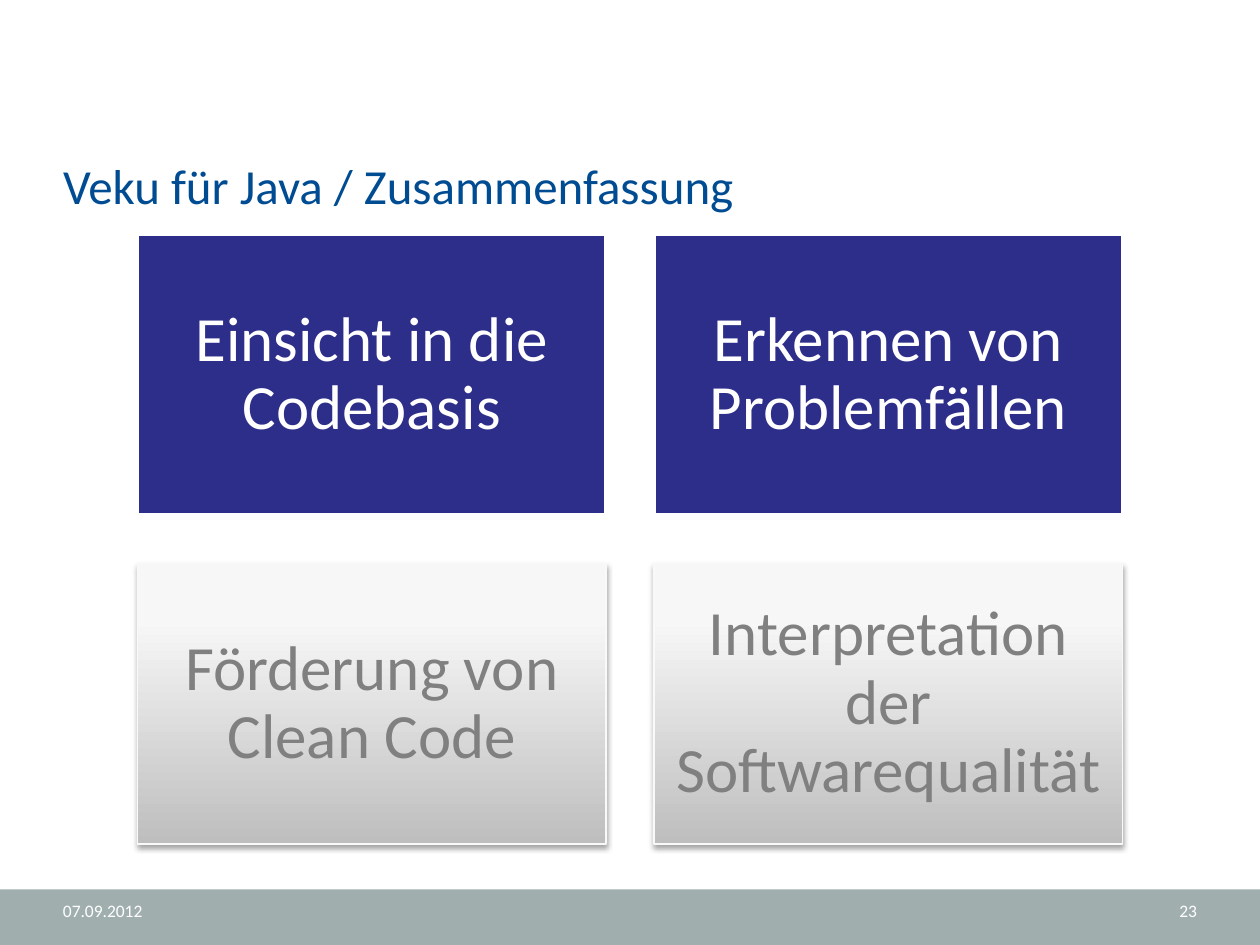
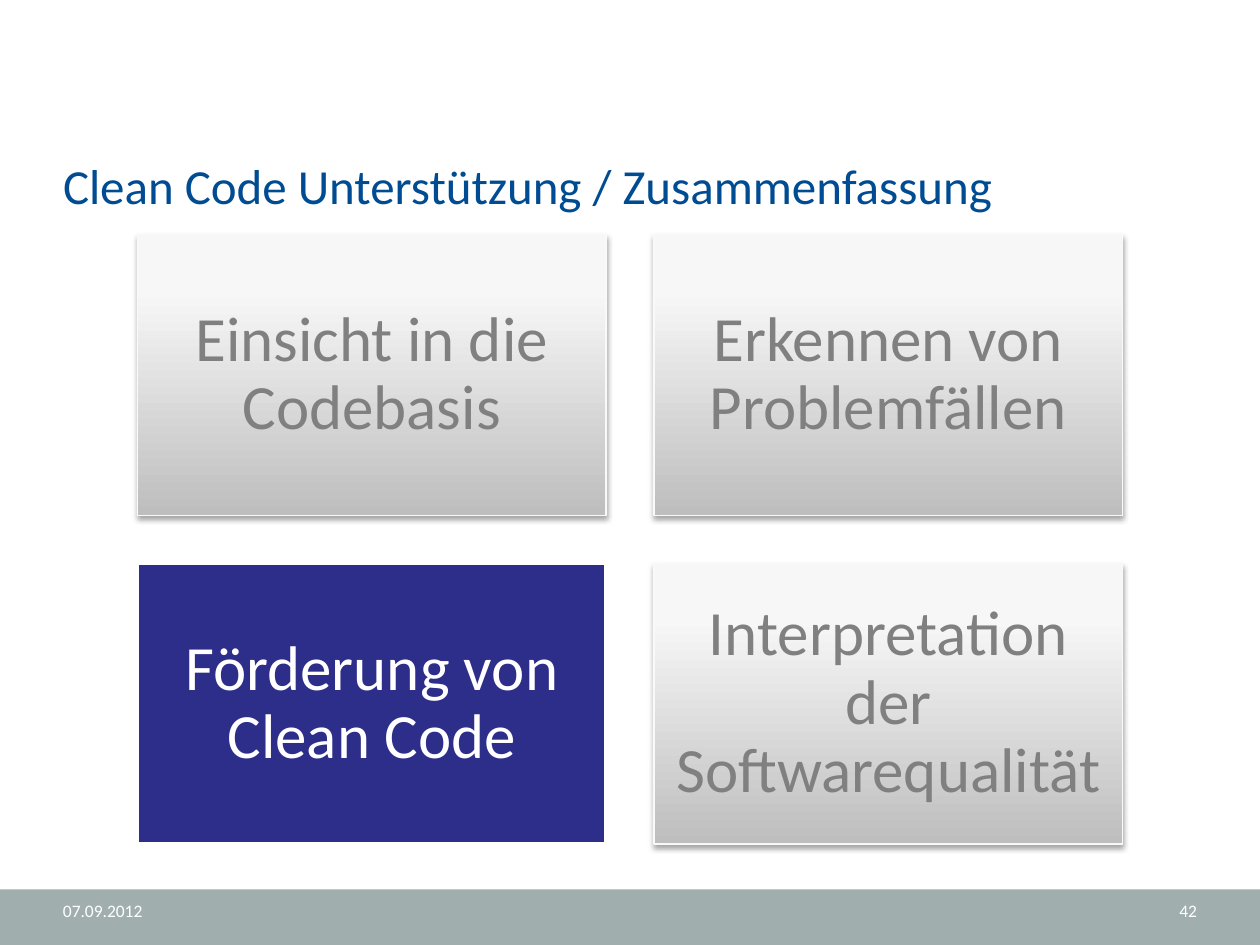
from pptx import Presentation
from pptx import util as u
from pptx.dml.color import RGBColor
from pptx.enum import shapes, text
from pptx.oxml import parse_xml
from pptx.oxml.ns import nsdecls

COLORS = {
    "title": "004C93", "band": "A0AFAE", "white": "FFFFFF",
    "active": "2D2D8A", "muted_text": "808080", "muted_line": "F9F9F9",
    "grad_dark": "BEBEBE", "grad_mid": "F7F7F7", "grad_light": "F8F8F8",
    "shadow": "000000",
}
FONT = "Calibri"
DATE = "07.09.2012"
GOALS = ["Einsicht in die Codebasis", "Erkennen von Problemfällen",
         "Förderung von Clean Code", "Interpretation der Softwarequalität"]

# Boxes: left, top, width, height in inches
TITLE_BOX = (0.5, 0.68, 9, 1.02)
FOOTER_BOX = (0, 7.06, 10, 0.44)
GRID_BOX = (1.09, 1.86, 7.82, 4.84)
GRID_GAP = 0.38

# Title, highlighted goals, page number
SLIDES = [
    ("Veku für Java / Zusammenfassung", {0, 1}, "23"),
    ("Clean Code Unterstützung / Zusammenfassung", {2}, "42"),
]


def rgb(name):
    return RGBColor.from_string(COLORS[name])


def inches(box):
    return [u.Inches(v) for v in box]


def set_text(sp, content, size, color, align=text.PP_ALIGN.LEFT,
             anchor=text.MSO_ANCHOR.TOP, inset=0):
    tf = sp.text_frame
    tf.text = content
    tf.word_wrap = True
    tf.auto_size = text.MSO_AUTO_SIZE.NONE
    tf.vertical_anchor = anchor
    tf.margin_left = tf.margin_right = u.Inches(inset)
    tf.margin_top = tf.margin_bottom = u.Inches(inset)
    p = tf.paragraphs[0]
    p.alignment = align
    p.font.name, p.font.size = FONT, u.Pt(size)
    p.font.color.rgb = rgb(color)
    return p


def add_rect(s, box, fill=None):
    sp = s.shapes.add_shape(shapes.MSO_SHAPE.RECTANGLE, *inches(box))
    sp.shadow.inherit = False
    sp.line.fill.background()
    if fill:
        sp.fill.solid()
        sp.fill.fore_color.rgb = rgb(fill)
    return sp


def set_line(sp, color, width):
    sp.line.color.rgb = rgb(color)
    sp.line.width = u.Pt(width)


def add_muted_look(sp):
    # Three-stop gradient, rising from dark to light
    stops = "".join(
        f'<a:gs pos="{pos * 1000}"><a:srgbClr val="{COLORS[name]}"/></a:gs>'
        for pos, name in ((0, "grad_dark"), (80, "grad_mid"), (100, "grad_light")))
    sp.fill.background()
    props = sp._element.spPr
    props.replace(props.find("{*}noFill"), parse_xml(
        f'<a:gradFill {nsdecls("a")} rotWithShape="1"><a:gsLst>{stops}</a:gsLst>'
        '<a:lin ang="16200000" scaled="0"/></a:gradFill>'))
    # Soft shadow below the tile
    props.find("{*}effectLst").append(parse_xml(
        f'<a:outerShdw {nsdecls("a")} blurRad="{u.Pt(3.1)}" dist="{u.Pt(1.8)}" '
        'dir="5400000" rotWithShape="0">'
        f'<a:srgbClr val="{COLORS["shadow"]}"><a:alpha val="35000"/></a:srgbClr>'
        '</a:outerShdw>'))


def add_title(s, box, title):
    sp = s.shapes.title
    sp.left, sp.top, sp.width, sp.height = inches(box)
    set_text(sp, title, 28, "title", anchor=text.MSO_ANCHOR.BOTTOM)


def add_footer(s, box, page):
    left, top, width, _ = box
    add_rect(s, box, "band")
    margin, field_w = 0.5, 2.33
    for x, content, align in (
            (left + margin, DATE, text.PP_ALIGN.LEFT),
            (left + width - margin - field_w, page, text.PP_ALIGN.RIGHT)):
        sp = s.shapes.add_textbox(*inches((x, top + 0.08, field_w, 0.24)))
        set_text(sp, content, 10, "white", align)


def add_tile(s, box, goal, active):
    sp = add_rect(s, box, "active" if active else None)
    if active:
        set_line(sp, "white", 2)
    else:
        add_muted_look(sp)
        set_line(sp, "muted_line", 0.75)
    p = set_text(sp, goal, 36, "white" if active else "muted_text",
                 text.PP_ALIGN.CENTER, text.MSO_ANCHOR.MIDDLE, 0.15)
    p.line_spacing = 0.9


def add_goal_grid(s, box, highlighted):
    left, top, width, height = box
    w, h = (width - GRID_GAP) / 2, (height - GRID_GAP) / 2
    for i, goal in enumerate(GOALS):
        row, col = divmod(i, 2)
        tile = (left + col * (w + GRID_GAP), top + row * (h + GRID_GAP), w, h)
        add_tile(s, tile, goal, i in highlighted)


def add_summary_slide(prs, title, highlighted, page):
    s = prs.slides.add_slide(prs.slide_layouts[5])  # title only
    add_title(s, TITLE_BOX, title)
    add_footer(s, FOOTER_BOX, page)
    add_goal_grid(s, GRID_BOX, highlighted)


def main():
    prs = Presentation()
    prs.slide_width, prs.slide_height = u.Inches(10), u.Inches(7.5)
    for title, highlighted, page in SLIDES:
        add_summary_slide(prs, title, highlighted, page)
    prs.save("out.pptx")


if __name__ == "__main__":
    main()
